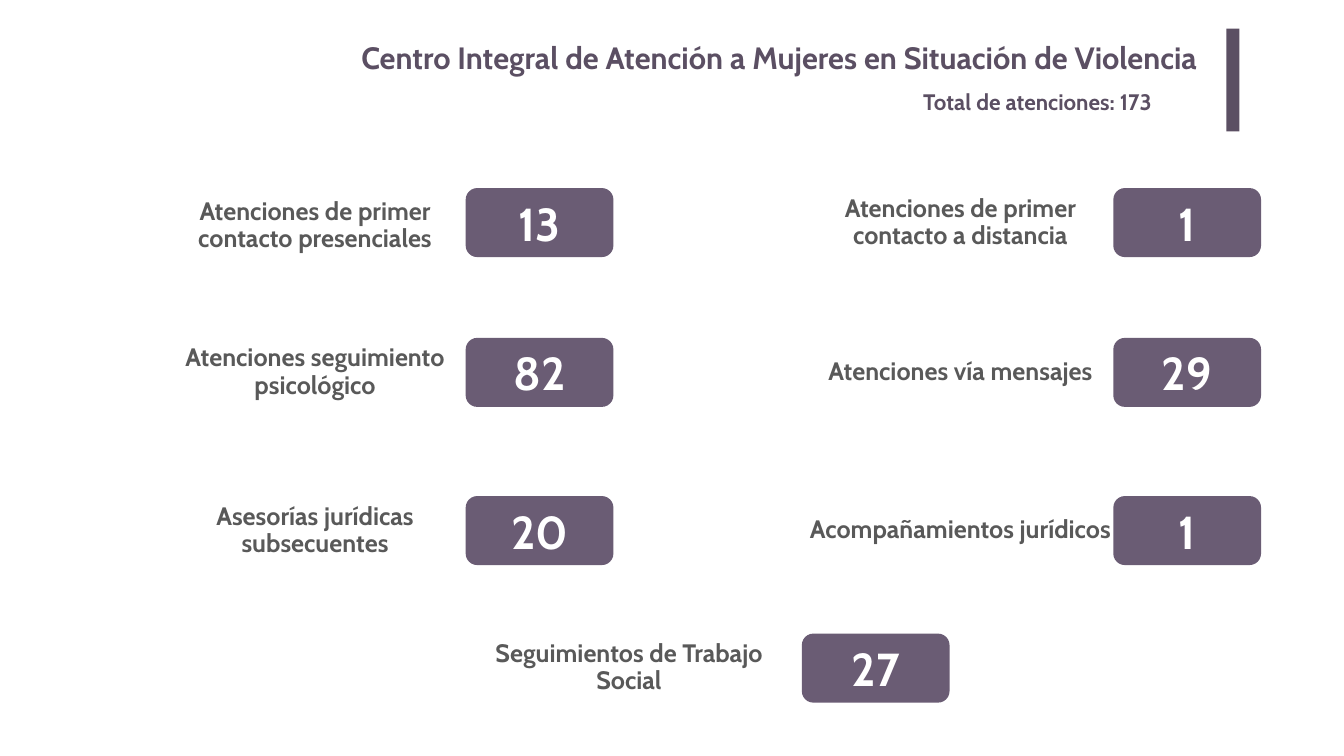
from pptx import Presentation
from pptx.dml.color import RGBColor
from pptx.enum.shapes import MSO_SHAPE as SHAPE
from pptx.enum.text import MSO_ANCHOR as ANCHOR, PP_ALIGN as ALIGN
from pptx.util import Pt

# Content
TITLE = "Centro Integral de Atención a Mujeres en Situación de Violencia"
TOTAL = "Total de atenciones: 173"
# label, value, column, row, label width, label height, label shift down
SERVICES = [
    ("Atenciones de primer contacto presenciales", "13", "left", 0, 394.5, 98.5, 5),
    ("Atenciones de primer contacto a distancia", "1", "right", 0, 371.5, 87, 0),
    ("Atenciones seguimiento psicológico", "82", "left", 1, 562.3, 38, 0),
    ("Atenciones vía mensajes", "29", "right", 1, 426, 75.5, 0),
    ("Asesorías jurídicas subsecuentes", "20", "left", 2, 435.5, 57.5, 0),
    ("Acompañamientos jurídicos", "1", "right", 2, 465, 46, 0),
    ("Seguimientos de Trabajo Social", "27", "middle", 3, 466.5, 101.5, 0),
]

# Layout, in points
COLUMNS = {  # label centre, card left
    "left": (450, 665.3),
    "right": (1372, 1590.5),
    "middle": (898.5, 1145.5),
}
ROW_CENTRES = [318, 532, 758, 954.5]
CARD_WIDTH, CARD_HEIGHT = 211, 98.6
FONT = "Cabin"
DARK, PURPLE, GREY, WHITE = "5B4F63", "6A5C74", "595959", "FFFFFF"


def color(value):
    return RGBColor.from_string(value)


def write(shape, text, size, ink, align, anchor=ANCHOR.MIDDLE, margins=(7.2, 3.6)):
    frame = shape.text_frame
    frame.word_wrap = True
    frame.vertical_anchor = anchor
    frame.margin_left = frame.margin_right = Pt(margins[0])
    frame.margin_top = frame.margin_bottom = Pt(margins[1])
    frame.text = text
    paragraph = frame.paragraphs[0]
    paragraph.alignment = align
    font = paragraph.runs[0].font
    font.name, font.size, font.bold = FONT, Pt(size), True
    font.color.rgb = color(ink)
    return paragraph


def add_box(slide, left, top, width, height):
    return slide.shapes.add_textbox(Pt(left), Pt(top), Pt(width), Pt(height))


def add_block(slide, kind, left, top, width, height, fill):
    shape = slide.shapes.add_shape(kind, Pt(left), Pt(top), Pt(width), Pt(height))
    shape.shadow.inherit = False
    shape.fill.solid()
    shape.fill.fore_color.rgb = color(fill)
    shape.line.fill.background()
    return shape


def add_service(slide, label, value, column, row, width, height, shift):
    label_centre, card_left = COLUMNS[column]
    middle = ROW_CENTRES[row]
    box = add_box(slide, label_centre - width / 2, middle + shift - height / 2,
                  width, height)
    write(box, label, 36, GREY, ALIGN.CENTER).line_spacing = 0.9
    card = add_block(slide, SHAPE.ROUNDED_RECTANGLE, card_left,
                     middle - CARD_HEIGHT / 2, CARD_WIDTH, CARD_HEIGHT, PURPLE)
    write(card, value, 66, WHITE, ALIGN.CENTER)


def main():
    presentation = Presentation()
    presentation.slide_width, presentation.slide_height = Pt(1920), Pt(1080)
    slide = presentation.slides.add_slide(presentation.slide_layouts[6])

    # Heading with its side bar
    title = add_box(slide, 263.5, 48.2, 1461.6, 73.4)
    write(title, TITLE, 44, DARK, ALIGN.RIGHT, ANCHOR.TOP, (14.4, 7.2))
    add_block(slide, SHAPE.RECTANGLE, 1751.8, 41, 18.7, 146.9, DARK)
    total = add_box(slide, 1311.8, 123, 426.2, 46)
    write(total, TOTAL, 32, DARK, ALIGN.LEFT, ANCHOR.TOP)

    # Services: label and number card
    for service in SERVICES:
        add_service(slide, *service)

    presentation.save("out.pptx")


if __name__ == "__main__":
    main()
